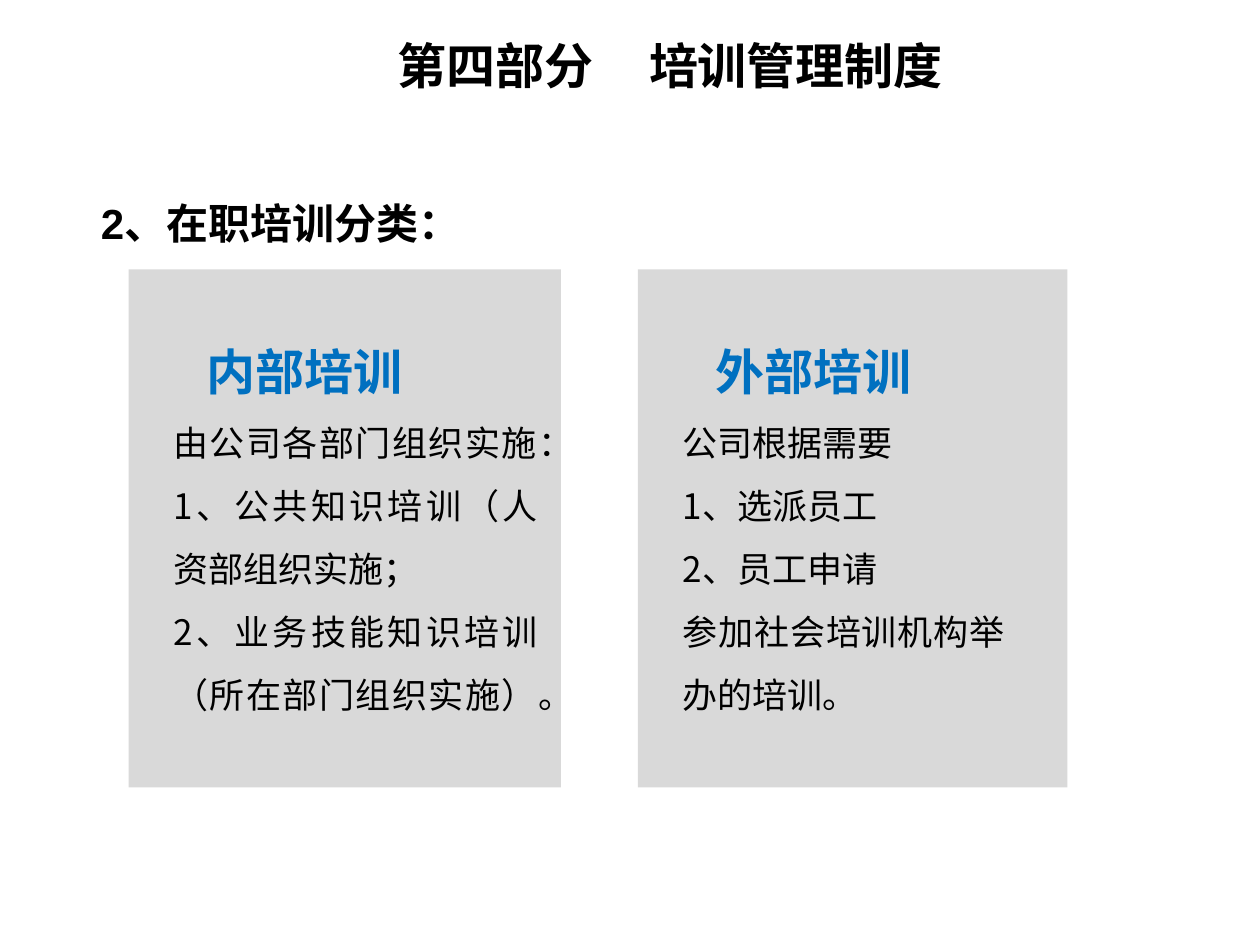
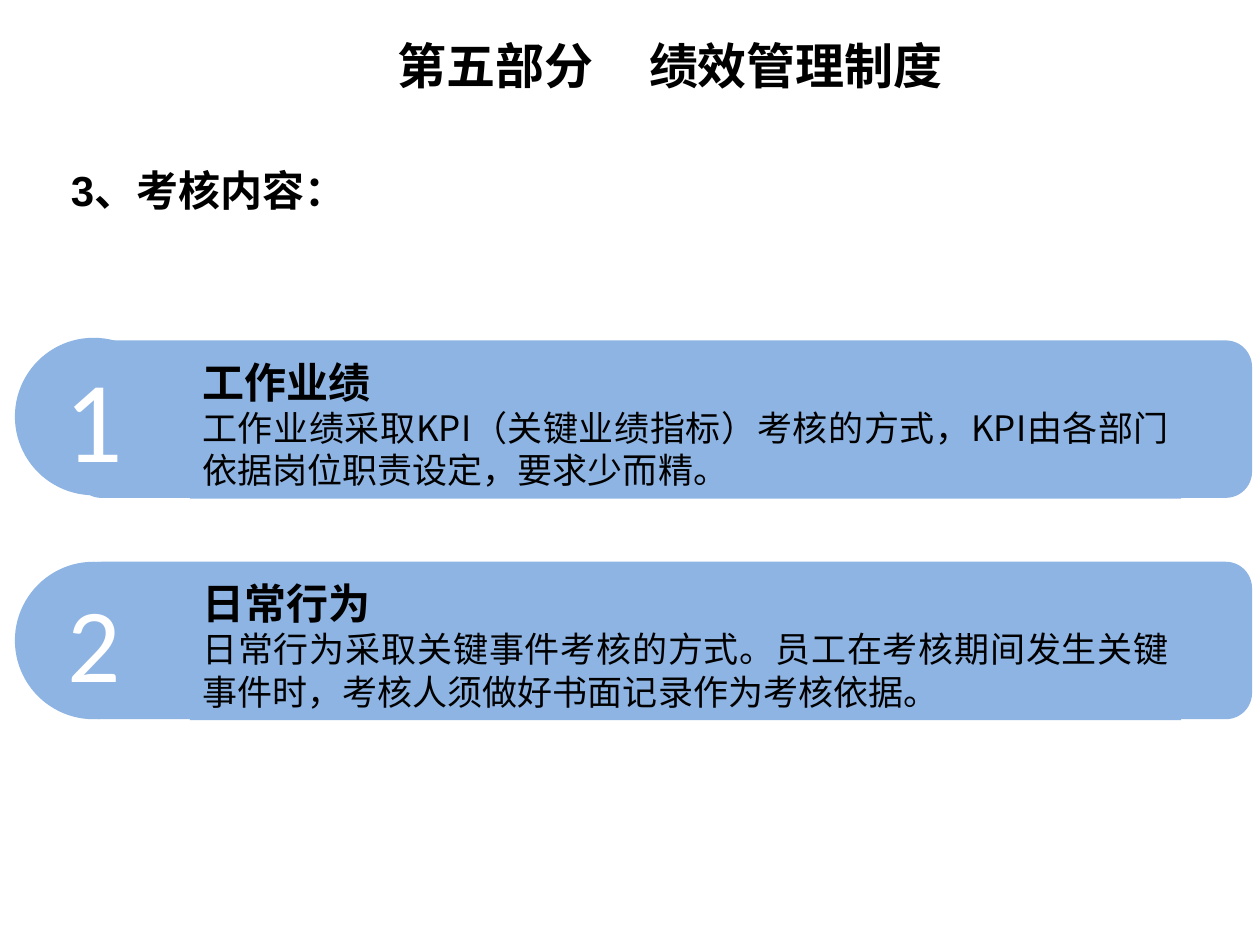
from dataclasses import dataclass
from typing import NamedTuple

from lxml.etree import SubElement
from pptx import Presentation
from pptx.dml.color import RGBColor
from pptx.enum.shapes import MSO_SHAPE as Kind
from pptx.enum.text import MSO_ANCHOR as Anchor, MSO_AUTO_SIZE as Fit, PP_ALIGN as Align
from pptx.oxml.ns import qn
from pptx.util import Pt


# Theme
@dataclass(frozen=True)
class Theme:
    black: str = "000000"
    white: str = "FFFFFF"
    grey: str = "D9D9D9"
    blue: str = "0070C0"
    sky: str = "8EB4E3"
    title: float = 28
    head: float = 24
    body: float = 20
    latin: str = "Calibri"
    sans: str = "Arial"
    han: str = "Noto Sans CJK SC"


T = Theme()


class Box(NamedTuple):
    x: float
    y: float
    w: float
    h: float


class Card(NamedTuple):
    box: Box
    inner: float
    head: str
    lines: tuple[str, ...]


class Band(NamedTuple):
    y: float
    lift: float
    num: str
    size: float
    head: str
    body: str


CARDS = (
    Card(Box(73.5, 154, 247, 296), 222.5, "内部培训",
         ("由公司各部门组织实施：", "1、公共知识培训（人资部组织实施；",
          "2、业务技能知识培训（所在部门组织实施）。")),
    Card(Box(364.5, 154, 245.5, 296), 198, "外部培训",
         ("公司根据需要", "1、选派员工", "2、员工申请",
          "参加社会培训机构举办的培训。")),
)

BANDS = (
    Band(194.5, 1.5, "1", 66, "工作业绩",
         "工作业绩采取KPI（关键业绩指标）考核的方式，KPI由各部门依据岗位职责设定，要求少而精。"),
    Band(321, 0, "2", 60, "日常行为",
         "日常行为采取关键事件考核的方式。员工在考核期间发生关键事件时，"
         "考核人须做好书面记录作为考核依据。"),
)


# Drawing helpers
def shape(slide, kind: Kind, box: Box, fill: str):
    item = slide.shapes.add_shape(kind, *map(Pt, box))
    item.shadow.inherit = False
    item.fill.solid()
    item.fill.fore_color.rgb = RGBColor.from_string(fill)
    item.line.fill.background()
    return item.text_frame


def frame(slide, box: Box):
    return grow(slide.shapes.add_textbox(*map(Pt, box)).text_frame)


def grow(area):
    area.word_wrap = True
    area.auto_size = Fit.SHAPE_TO_FIT_TEXT
    area.vertical_anchor = Anchor.TOP
    return area


def write(area, text: str, *, size: float, font: str = T.han, color: str = T.black,
          bold: bool = False, align: Align = Align.LEFT, space: float = 1,
          indent: float = 0, gap: float = 0) -> None:
    """Add one paragraph; gap widens the space between words."""
    para = area.paragraphs[0]
    if para.runs:
        para = area.add_paragraph()
    para.alignment, para.line_spacing = align, space
    if indent:
        para._p.get_or_add_pPr().set("marL", str(Pt(indent)))
    head, mid, tail = text.partition(" ")
    for part in filter(None, (head, mid, tail)):
        run = para.add_run()
        run.text = part
        face = run.font
        face.size, face.bold, face.name = Pt(size), bold, font
        face.color.rgb = RGBColor.from_string(color)
        props = run._r.get_or_add_rPr()
        SubElement(props, qn("a:ea")).set("typeface", T.han)
        if part == " " and gap:
            props.set("spc", str(round(gap * 100)))


# Shared slide parts
def start(deck, title: str, head: str, box: Box, space: float = 1):
    slide = deck.slides.add_slide(deck.slide_layouts[6])
    write(frame(slide, Box(186, 16.5, 394, 41)), title, size=T.title,
          font=T.latin, bold=True, align=Align.CENTER, gap=25.3)
    write(frame(slide, box), head, size=T.head, font=T.sans, bold=True, space=space)
    return slide


def draw_card(slide, card: Card) -> None:
    shape(slide, Kind.RECTANGLE, card.box, T.grey)
    area = frame(slide, Box(card.box.x + 18.5, card.box.y + 21, card.inner, 240))
    write(area, card.head, size=T.title, color=T.blue, bold=True, space=1.5, indent=19)
    for line in card.lines:
        write(area, line, size=T.body, align=Align.JUSTIFY, space=1.5)


def draw_disc(slide, band: Band) -> None:
    area = shape(slide, Kind.OVAL, Box(8.5, band.y - band.lift, 90, 90), T.sky)
    area.vertical_anchor = Anchor.MIDDLE
    write(area, band.num, size=band.size, font=T.latin, color=T.white, align=Align.CENTER)


def draw_note(slide, band: Band) -> None:
    area = grow(shape(slide, Kind.RECTANGLE, Box(108.5, band.y + 5.5, 566.5, 85), T.sky))
    write(area, band.head, size=T.head, bold=True, align=Align.JUSTIFY)
    write(area, band.body, size=T.body, align=Align.JUSTIFY)


def main() -> None:
    deck = Presentation()
    deck.slide_width, deck.slide_height = Pt(720), Pt(540)

    # Training types
    slide = start(deck, "第四部分 培训管理制度", "2、在职培训分类：",
                  Box(50.5, 95, 641.5, 51), 1.5)
    for card in CARDS:
        draw_card(slide, card)

    # Review topics
    slide = start(deck, "第五部分 绩效管理制度", "3、考核内容：",
                  Box(33.5, 90.5, 360, 65.5))
    for band in BANDS:
        shape(slide, Kind.ROUNDED_RECTANGLE, Box(43, band.y, 672.5, 90), T.sky)
    for band in BANDS:
        draw_disc(slide, band)
    for band in BANDS:
        draw_note(slide, band)

    deck.save("out.pptx")


if __name__ == "__main__":
    main()
